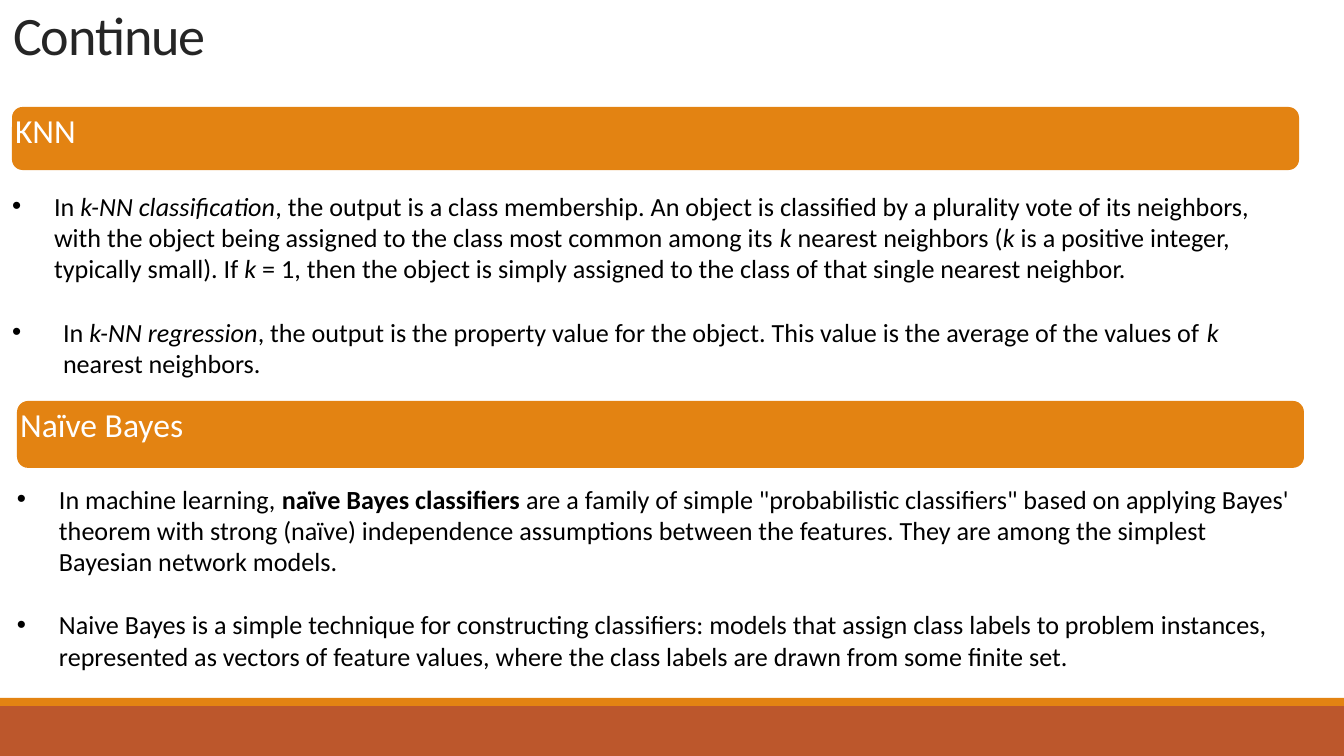
from dataclasses import dataclass
from pptx import Presentation
from pptx.dml.color import RGBColor
from pptx.enum.shapes import MSO_SHAPE
from pptx.enum.text import MSO_ANCHOR, MSO_AUTO_SIZE, PP_ALIGN
from pptx.util import Pt


@dataclass(frozen=True)
class Theme:
    font: str = "Calibri"
    orange: str = "E38312"
    rust: str = "BC572C"
    dark: str = "252525"
    black: str = "000000"
    white: str = "FFFFFF"
    title: int = 29
    head: int = 18
    body: int = 14
    gap: int = 17


THEME = Theme()
WIDTH, HEIGHT = 1344, 756
SCALE = 914400 / 134.4

KNN = [
    (42, ["In ", "k-NN classification",
          ", the output is a class membership. An object is classified by a "
          "plurality vote of its neighbors, with the object being assigned to "
          "the class most common among its ", "k", " nearest neighbors (", "k",
          " is a positive integer, typically small). If ", "k",
          " = 1, then the object is simply assigned to the class of that "
          "single nearest neighbor."]),
    (51, ["In ", "k-NN regression",
          ", the output is the property value for the object. This value is "
          "the average of the values of ", "k", " nearest neighbors."]),
]
BAYES = [
    (42, ["In machine learning, ", "naïve Bayes classifiers",
          " are a family of simple \"probabilistic classifiers\" based on "
          "applying Bayes' theorem with strong (naïve) independence "
          "assumptions between the features. They are among the "
          "simplest Bayesian network models."]),
    (42, ["Naive Bayes is a simple technique for constructing classifiers: "
          "models that assign class labels to problem instances, represented "
          "as vectors of feature values, where the class labels are drawn "
          "from some finite set."]),
]


def px(n):
    return round(n * SCALE)


def place(shape, left, top, width, height):
    shape.left, shape.top = px(left), px(top)
    shape.width, shape.height = px(width), px(height)


def prep(frame):
    frame.word_wrap = True
    frame.auto_size = MSO_AUTO_SIZE.NONE
    frame.vertical_anchor = MSO_ANCHOR.TOP
    frame.margin_left = frame.margin_right = 0
    frame.margin_top = frame.margin_bottom = 0


def style(run, size, color):
    run.font.name = THEME.font
    run.font.size = Pt(size)
    run.font.color.rgb = RGBColor.from_string(color)


def label(shape, text, size, color):
    frame = shape.text_frame
    prep(frame)
    frame.text = text
    para = frame.paragraphs[0]
    para.alignment = PP_ALIGN.LEFT
    run = para.runs[0]
    style(run, size, color)
    return run


def add_title(slide, text):
    title = slide.shapes.title
    place(title, 13, 1, 231, 68)
    run = label(title, text, THEME.title, THEME.dark)
    run.font._element.set("spc", "-55")


def add_block(slide, kind, box, color):
    block = slide.shapes.add_shape(kind, *map(px, box))
    block.shadow.inherit = False
    block.fill.solid()
    block.fill.fore_color.rgb = RGBColor.from_string(color)
    block.line.fill.background()
    return block


def fill_list(holder, box, items, accent):
    place(holder, *box)
    frame = holder.text_frame
    prep(frame)
    for index, (indent, parts) in enumerate(items):
        para = frame.add_paragraph() if index else frame.paragraphs[0]
        para.space_before = Pt(THEME.gap if index else 0)
        props = para._p.get_or_add_pPr()
        props.set("marL", str(px(indent)))
        props.set("indent", str(-px(indent)))
        for order, part in enumerate(parts):
            run = para.add_run()
            run.text = part
            style(run, THEME.body, THEME.black)
            if order % 2:
                setattr(run.font, accent, True)


def add_topic(slide, holder, head, bar, box, items, accent):
    block = add_block(slide, MSO_SHAPE.ROUNDED_RECTANGLE, bar, THEME.orange)
    label(block, head, THEME.head, THEME.white)
    fill_list(holder, box, items, accent)


def main():
    deck = Presentation()
    deck.slide_width, deck.slide_height = px(WIDTH), px(HEIGHT)
    slide = deck.slides.add_slide(deck.slide_layouts[3])
    first, second = list(slide.placeholders)[1:]
    add_block(slide, MSO_SHAPE.RECTANGLE, (0, 706, WIDTH, 50), THEME.rust)
    add_block(slide, MSO_SHAPE.RECTANGLE, (0, 698, WIDTH, 8), THEME.orange)
    add_title(slide, "Continue")
    add_topic(slide, first, "KNN", (12, 107, 1287, 63),
              (12, 190, 1287, 190), KNN, "italic")
    add_topic(slide, second, "Naïve Bayes", (17, 401, 1287, 67),
              (17, 483, 1287, 190), BAYES, "bold")
    deck.save("out.pptx")


if __name__ == "__main__":
    main()
